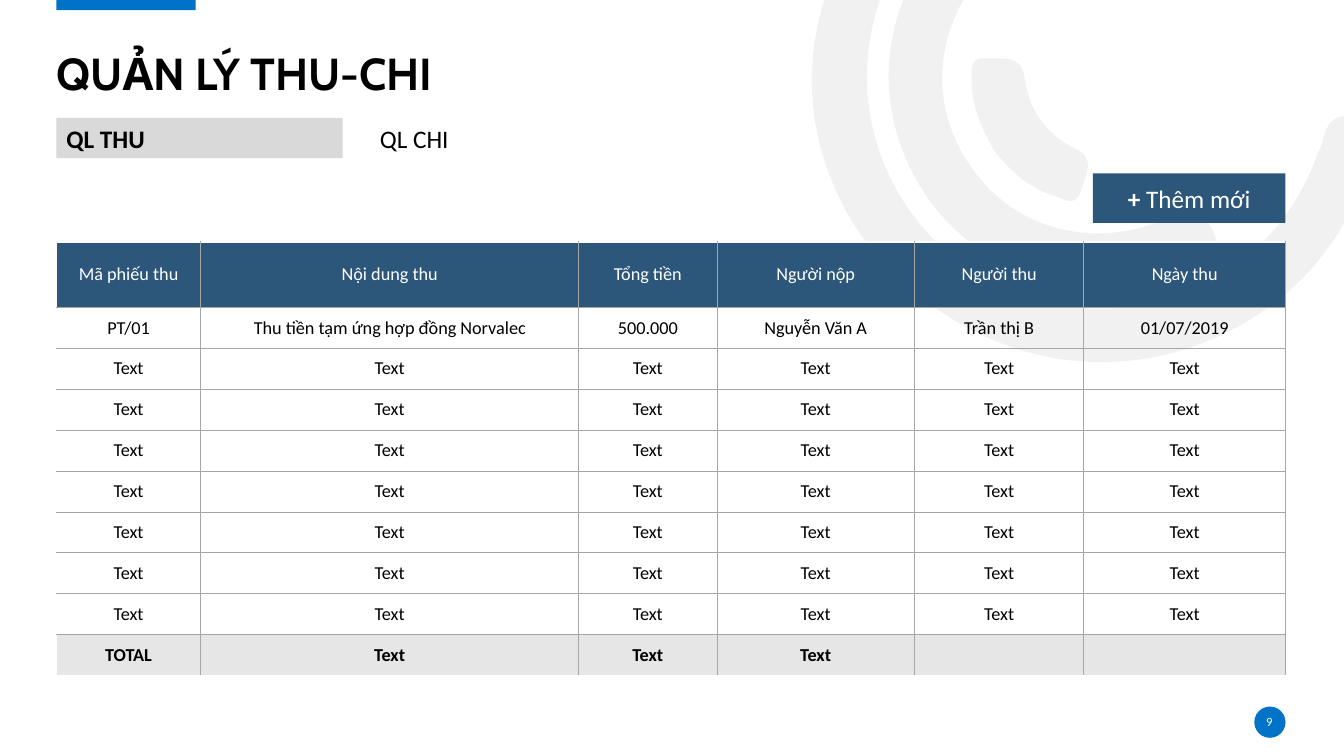
from lxml import etree
from pptx import Presentation
from pptx.dml.color import RGBColor
from pptx.enum.shapes import MSO_SHAPE
from pptx.enum.text import MSO_ANCHOR, PP_ALIGN
from pptx.oxml.ns import qn
from pptx.util import Inches, Pt

CENTER, LEFT = PP_ALIGN.CENTER, PP_ALIGN.LEFT
TOP, MIDDLE, BOTTOM = MSO_ANCHOR.TOP, MSO_ANCHOR.MIDDLE, MSO_ANCHOR.BOTTOM
RECTANGLE, OVAL = MSO_SHAPE.RECTANGLE, MSO_SHAPE.OVAL
BLACK = RGBColor(0x00, 0x00, 0x00)
WHITE = RGBColor(0xFF, 0xFF, 0xFF)
BLUE = RGBColor(0x00, 0x72, 0xC7)
NAVY = RGBColor(0x2C, 0x56, 0x7A)
PALE_GRAY = RGBColor(0xE7, 0xE6, 0xE6)
TAB_GRAY = RGBColor(0xD9, 0xD9, 0xD9)
RULE_GRAY = RGBColor(0xA6, 0xA6, 0xA6)


def write(frame, text, size, color, bold=False, align=LEFT, anchor=MIDDLE, font="Calibri"):
    frame.text = text
    frame.word_wrap = True
    frame.vertical_anchor = anchor
    paragraph = frame.paragraphs[0]
    paragraph.alignment = align
    for run in paragraph.runs:
        run.font.name = font
        run.font.size = Pt(size)
        run.font.bold = bold
        run.font.color.rgb = color


def set_border(cell, side, color, width):
    """Draw one side of a cell; side is L, R, T or B."""
    line = etree.SubElement(cell._tc.get_or_add_tcPr(), qn(f"a:ln{side}"), w=str(Pt(width)))
    fill = etree.SubElement(line, qn("a:solidFill"))
    etree.SubElement(fill, qn("a:srgbClr"), val=str(color))


prs = Presentation()
prs.slide_width, prs.slide_height = Inches(13.33), Inches(7.5)
slide = prs.slides.add_slide(prs.slide_layouts[5])
shapes = slide.shapes

# Phone emblem: each outline is a start point and cubic Bézier segments
emblem = [
    ((8.51, 2.29), [
        (7.99, 1.49, 7.87, 0.5, 8.38, -0.5), (8.9, -1.52, 9.76, -2.03, 10.9, -2.07),
        (11.05, -2.07, 11.21, -2.1, 11.31, -1.95), (11.44, -1.75, 11.27, -1.54, 10.98, -1.54),
        (9.67, -1.54, 8.65, -0.59, 8.6, 0.68), (8.56, 1.81, 9.36, 2.81, 10.46, 3.02),
        (11.6, 3.24, 12.7, 2.61, 13.07, 1.52), (13.09, 1.48, 13.11, 1.44, 13.12, 1.4),
        (13.16, 1.19, 13.27, 1.11, 13.49, 1.17), (13.73, 1.24, 13.67, 1.41, 13.61, 1.56),
        (13.34, 2.45, 12.78, 3.07, 11.91, 3.41), (10.7, 3.87, 9.36, 3.45, 8.51, 2.29)]),
    ((9.22, 1.99), [
        (8.62, 1.15, 8.69, 0.07, 9.4, -0.68), (9.51, -0.79, 9.62, -0.95, 9.8, -0.78),
        (9.95, -0.64, 9.97, -0.5, 9.79, -0.32), (9.25, 0.26, 9.2, 1.08, 9.65, 1.68),
        (10.08, 2.29, 10.88, 2.49, 11.61, 2.15), (11.82, 2.05, 11.93, 2.12, 12.03, 2.29),
        (12.13, 2.5, 11.97, 2.56, 11.83, 2.63), (10.96, 3.1, 9.83, 2.82, 9.22, 1.99)]),
    ((9.87, 1.51), [
        (9.75, 1.3, 9.64, 1.07, 9.64, 0.82), (9.64, 0.73, 9.61, 0.57, 9.76, 0.58),
        (9.92, 0.59, 10.13, 0.53, 10.16, 0.76), (10.21, 1.1, 10.36, 1.32, 10.67, 1.48),
        (10.88, 1.57, 10.76, 1.76, 10.72, 1.89), (10.68, 2.06, 10.55, 1.98, 10.45, 1.94),
        (10.21, 1.87, 10.03, 1.7, 9.87, 1.51)]),
]
for start, curves in emblem:
    points = [(Inches(curve[i]), Inches(curve[i + 1])) for curve in curves for i in (0, 2, 4)]
    builder = shapes.build_freeform(Inches(start[0]), Inches(start[1]))
    builder.add_line_segments(points, close=True)
    arc = builder.convert_to_shape()
    # Every three line points become the control points and end of one curve
    segments = list(arc._element.spPr.iter(qn("a:lnTo")))
    for i in range(0, len(segments), 3):
        bezier = etree.Element(qn("a:cubicBezTo"))
        segments[i].addprevious(bezier)
        for segment in segments[i:i + 3]:
            bezier.append(segment[0])
            segment.getparent().remove(segment)
    arc.shadow.inherit = False
    arc.line.fill.background()
    arc.fill.solid()
    arc.fill.fore_color.rgb = PALE_GRAY
    tint = arc._element.spPr.find(qn("a:solidFill"))[0]
    etree.SubElement(tint, qn("a:alpha"), val="53000")

# Accent bar, page badge, active tab and button
panels = []
for kind, left, top, width, height, color in [
    (RECTANGLE, 0.56, -0.02, 1.38, 0.12, BLUE),
    (OVAL, 12.44, 7.01, 0.31, 0.31, BLUE),
    (RECTANGLE, 0.56, 1.17, 2.84, 0.4, TAB_GRAY),
    (RECTANGLE, 10.84, 1.72, 1.91, 0.49, NAVY),
]:
    panel = shapes.add_shape(kind, Inches(left), Inches(top), Inches(width), Inches(height))
    panel.shadow.inherit = False
    panel.fill.solid()
    panel.fill.fore_color.rgb = color
    panel.line.fill.background()
    panels.append(panel)
accent_bar, page_badge, income_tab, add_button = panels

write(income_tab.text_frame, "QL THU", 18, BLACK, bold=True, anchor=TOP)
write(add_button.text_frame, "+ ", 18, WHITE, bold=True, align=CENTER)
add_label = add_button.text_frame.paragraphs[0].add_run()
add_label.text = "Thêm mới"
add_label.font.name = "Calibri"
add_label.font.size = Pt(18)
add_label.font.color.rgb = WHITE

expense_tab = shapes.add_textbox(Inches(3.67), Inches(1.17), Inches(2.84), Inches(0.4))
write(expense_tab.text_frame, "QL CHI", 18, BLACK, anchor=TOP)

page_number = shapes.add_textbox(Inches(12.43), Inches(7.06), Inches(0.32), Inches(0.2))
write(page_number.text_frame, "9", 9, WHITE, align=CENTER)

title = shapes.title
title.left, title.top, title.width, title.height = Inches(0.56), Inches(0.27), Inches(12.19), Inches(0.72)
write(title.text_frame, "QUẢN LÝ THU-CHI", 32, BLACK, bold=True, anchor=BOTTOM, font="Cabin")
title.text_frame.paragraphs[0].line_spacing = 0.9
for frame in (title.text_frame, page_number.text_frame):
    frame.margin_left = frame.margin_right = frame.margin_top = frame.margin_bottom = 0

# Receipts table
receipts = [
    ["Mã phiếu thu", "Nội dung thu", "Tổng tiền", "Người nộp", "Người thu", "Ngày thu"],
    ["PT/01", "Thu tiền tạm ứng hợp đồng Norvalec", "500.000", "Nguyễn Văn A", "Trần thị B", "01/07/2019"],
    *[["Text"] * 6 for _ in range(7)],
    ["TOTAL", "Text", "Text", "Text", "", ""],
]
last_row = len(receipts) - 1
column_widths = [1.43, 3.75, 1.37, 1.96, 1.68, 2]
header_height, table_height = 0.65, 4.3
table = shapes.add_table(len(receipts), len(column_widths), Inches(0.56), Inches(2.4),
                         Inches(12.19), Inches(table_height)).table
table.first_row = table.horz_banding = False
for column, width in zip(table.columns, column_widths):
    column.width = Inches(width)
for r, values in enumerate(receipts):
    is_header, is_total = r == 0, r == last_row
    table.rows[r].height = Inches(header_height if is_header else (table_height - header_height) / last_row)
    for c, value in enumerate(values):
        cell = table.cell(r, c)
        for side, is_outer in (("L", c == 0), ("R", False), ("T", is_header), ("B", is_total)):
            set_border(cell, side, *((WHITE, 1) if is_outer else (RULE_GRAY, 0.5)))
        if is_header or is_total:
            cell.fill.solid()
            cell.fill.fore_color.rgb = NAVY if is_header else PALE_GRAY
        else:
            cell.fill.background()
        cell.vertical_anchor = MIDDLE
        if value:
            write(cell.text_frame, value, 13, WHITE if is_header else BLACK, bold=is_total, align=CENTER)
            cell.vertical_anchor = MIDDLE

prs.save("out.pptx")
